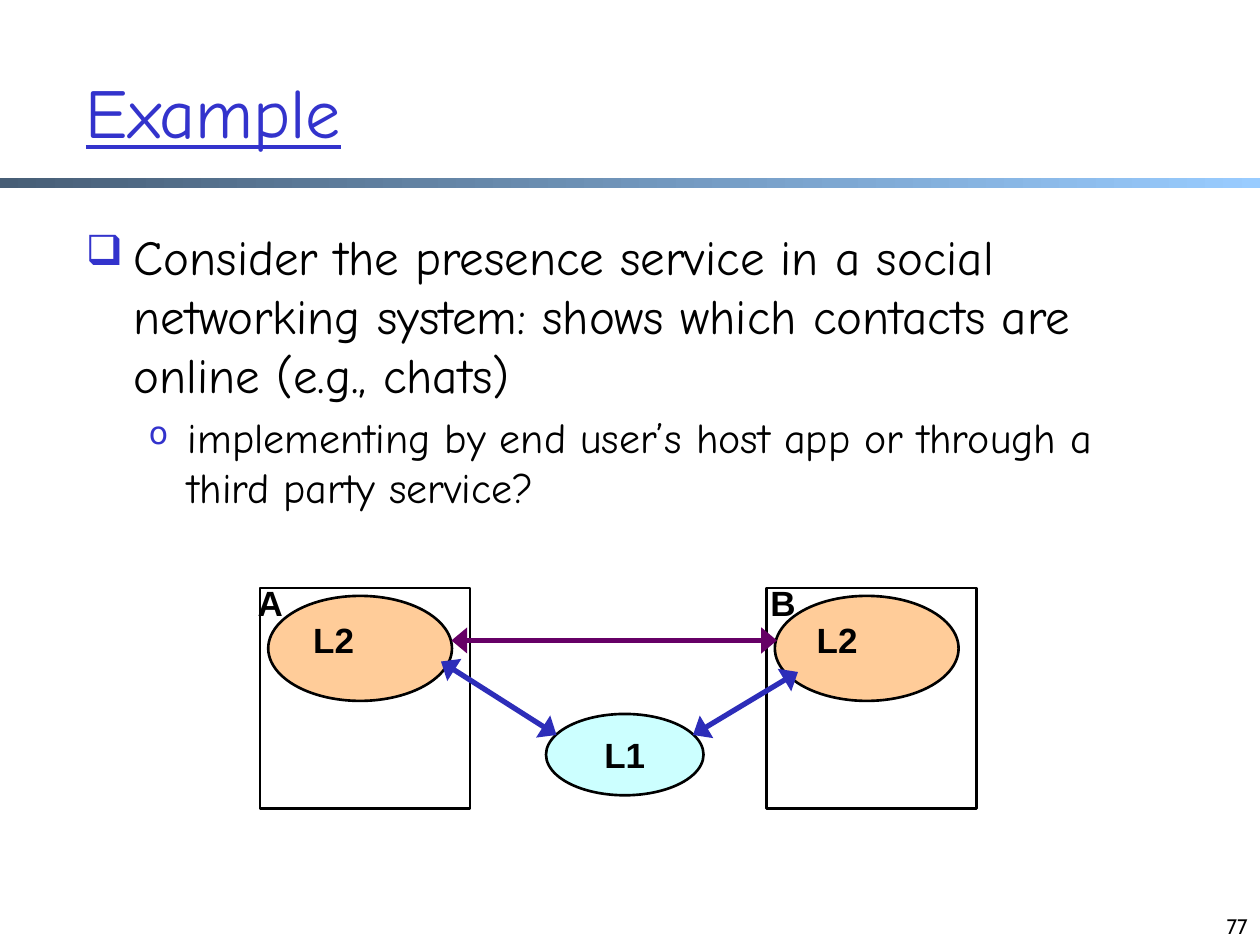
from lxml.etree import SubElement
from pptx import Presentation
from pptx.dml.color import RGBColor
from pptx.enum.shapes import MSO_CONNECTOR, MSO_SHAPE
from pptx.enum.text import MSO_ANCHOR, PP_ALIGN
from pptx.oxml.ns import qn
from pptx.util import Inches, Pt

COLUMNS, ROWS = 120, 90
WIDTH, HEIGHT = Inches(10), Inches(7.5)
BLACK = RGBColor(0x00, 0x00, 0x00)
BLUE = RGBColor(0x33, 0x33, 0xCC)
SLATE = RGBColor(0x47, 0x5E, 0x76)
SKY = RGBColor(0x99, 0xCC, 0xFF)
PEACH = RGBColor(0xFF, 0xCC, 0x99)
CYAN = RGBColor(0xCC, 0xFF, 0xFF)
INDIGO = RGBColor(0x2D, 0x2D, 0xB9)
PURPLE = RGBColor(0x66, 0x00, 0x66)


def across(columns):
    """Turn grid columns into a length."""
    return int(WIDTH * columns / COLUMNS)


def down(rows):
    """Turn grid rows into a length."""
    return int(HEIGHT * rows / ROWS)


def place(box):
    """Turn a grid box into left, top, width and height."""
    left, top, width, height = box
    return across(left), down(top), across(width), down(height)


def style(para, size, name, color=BLACK, bold=False, underline=False):
    """Format every run of a paragraph."""
    for span in para.runs:
        font = span.font
        font.size, font.name = Pt(size), name
        font.bold, font.underline = bold, underline
        font.color.rgb = color


def add_text(page, box, text, size, name, anchor=MSO_ANCHOR.TOP, **look):
    """Add a wrapped one-paragraph text box and return its frame."""
    frame = page.shapes.add_textbox(*place(box)).text_frame
    frame.word_wrap = True
    frame.vertical_anchor = anchor
    frame.text = text
    style(frame.paragraphs[0], size, name, **look)
    return frame


def add_outlined(page, preset, box, fill=None):
    """Add a black-edged shape, filled when a colour is given."""
    shape = page.shapes.add_shape(preset, *place(box))
    shape.shadow.inherit = False
    shape.line.color.rgb = BLACK
    shape.line.width = Pt(1.5)
    if fill is None:
        shape.fill.background()
    else:
        shape.fill.solid()
        shape.fill.fore_color.rgb = fill
    return shape


def add_double_arrow(page, start, end, color):
    """Draw a line with a wide triangle at both ends between grid points."""
    arrow = page.shapes.add_connector(
        MSO_CONNECTOR.STRAIGHT,
        across(start[0]), down(start[1]), across(end[0]), down(end[1]))
    arrow.line.color.rgb = color
    arrow.line.width = Pt(3)
    for tag in ("a:headEnd", "a:tailEnd"):
        SubElement(arrow.line._get_or_add_ln(), qn(tag), type="triangle", w="lg")
    SubElement(arrow._element.spPr, qn("a:effectLst"))


def add_bullet(para, symbol, percent, margin, hang):
    """Give a paragraph a coloured bullet and a hanging indent."""
    properties = para._p.get_or_add_pPr()
    properties.set("marL", str(Inches(margin)))
    properties.set("indent", str(-Inches(hang)))
    tint = SubElement(properties, qn("a:buClr"))
    SubElement(tint, qn("a:srgbClr"), val=str(BLUE))
    SubElement(properties, qn("a:buSzPct"), val=str(percent * 1000))
    SubElement(properties, qn("a:buChar"), char=symbol)


def add_heading(page, box):
    """Place the title and the gradient rule near its foot."""
    add_text(page, box, "Example", 40, "Comic Neue", MSO_ANCHOR.MIDDLE,
             color=BLUE, underline=True)
    rule_top = box[1] + box[3] - 1.05
    rule = page.shapes.add_shape(
        MSO_SHAPE.RECTANGLE, *place((0, rule_top, COLUMNS, 1)))
    rule.shadow.inherit = False
    rule.line.fill.background()
    rule.fill.gradient()
    rule.fill.gradient_angle = 0
    for stop, position, color in zip(rule.fill.gradient_stops, (0, 1), (SLATE, SKY)):
        stop.position = position
        stop.color.rgb = color


def add_body(page, box):
    """Place the bulleted question."""
    frame = add_text(
        page, box,
        "Consider the presence service in a social networking system: "
        "shows which contacts are online (e.g., chats)", 28, "Comic Neue")
    add_bullet(frame.paragraphs[0], "❑", 85, 0.38, 0.38)
    detail = frame.add_paragraph()
    detail.text = ("implementing by end user’s host app or through a "
                   "third party service?")
    detail.level = 1
    add_bullet(detail, "o", 75, 0.81, 0.31)
    detail.space_before = Pt(4.8)
    style(detail, 24, "Comic Neue")


def add_host(page, box, name, name_shift, layer_shift):
    """Place a host frame with its name and its upper layer."""
    left, top, width, height = box
    add_outlined(page, MSO_SHAPE.OVAL, (left + 0.8, top + 0.75, 17.5, 10), PEACH)
    add_outlined(page, MSO_SHAPE.RECTANGLE, box)
    for text, shift, drop in ((name, name_shift, -1.2), ("L2", layer_shift, 2.3)):
        add_text(page, (left + shift, top + drop, width / 2, height / 4),
                 text, 20, "Arial", bold=True)


def add_diagram(page, box):
    """Place two hosts, the shared lower layer and their links."""
    left, top, width, height = box
    host_width = 20
    add_host(page, (left, top, host_width, height), "A", -1.4, 3.9)
    add_host(page, (left + width - host_width, top, host_width, height),
             "B", -0.8, 3.6)
    service = add_outlined(
        page, MSO_SHAPE.OVAL, (left + 27.25, top + 12, 15, 7.75), CYAN)
    frame = service.text_frame
    frame.word_wrap = False
    frame.vertical_anchor = MSO_ANCHOR.MIDDLE
    frame.text = "L1"
    frame.paragraphs[0].alignment = PP_ALIGN.CENTER
    style(frame.paragraphs[0], 20, "Arial", bold=True)
    links = (((17.25, 7), (28.25, 14), INDIGO),
             ((51.25, 8), (41.25, 14), INDIGO),
             ((18.25, 5), (49.25, 5), PURPLE))
    for start, end, color in links:
        add_double_arrow(page, (left + start[0], top + start[1]),
                         (left + end[0], top + end[1]), color)


def add_page_number(page, box):
    """Place the page number in the lower right corner."""
    frame = add_text(page, box, "77", 12, "Cabin", MSO_ANCHOR.BOTTOM)
    frame.paragraphs[0].alignment = PP_ALIGN.RIGHT


def main():
    """Build and save the deck."""
    deck = Presentation()
    deck.slide_width, deck.slide_height = WIDTH, HEIGHT
    page = deck.slides.add_slide(deck.slide_layouts[6])
    add_heading(page, (7, 3, 102, 15))
    add_body(page, (7, 21, 102, 61))
    add_diagram(page, (24.75, 56, 68.25, 21))
    add_page_number(page, (92, 84, 28, 6))
    deck.save("out.pptx")


if __name__ == "__main__":
    main()
